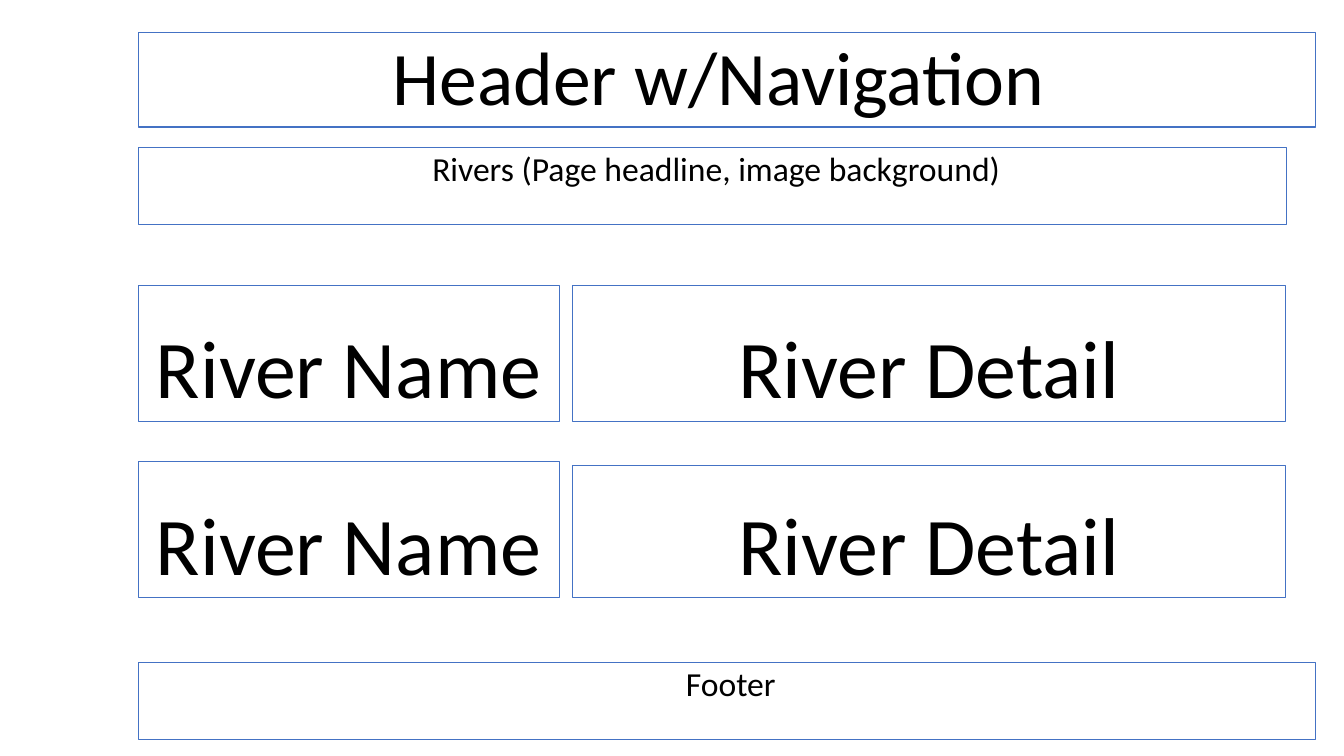
"""Wireframe slide of a rivers web page."""
from dataclasses import dataclass

from pptx import Presentation
from pptx import util as u
from pptx.dml.color import RGBColor
from pptx.enum import text

COLORS = {"outline": "4472C4", "ink": "000000"}
FONT = "Calibri"
TITLE_ONLY = 5
LEFT, DETAIL_LEFT = 1.37, 5.68
FULL_WIDTH, NAME_WIDTH, DETAIL_WIDTH = 11.68, 4.18, 7.07
BAND_HEIGHT = 0.77
BOTTOM, TOP = text.MSO_ANCHOR.BOTTOM, text.MSO_ANCHOR.TOP


@dataclass
class Block:
    """One outlined area of the web page."""
    label: str
    left: float
    top: float
    width: float
    height: float
    size: float
    anchor: text.MSO_ANCHOR = BOTTOM
    space_before: float = 0


def format_block(box, block: Block) -> None:
    """Place a box, outline it and write its label."""
    box.left, box.top = u.Inches(block.left), u.Inches(block.top)
    box.width, box.height = u.Inches(block.width), u.Inches(block.height)
    box.line.color.rgb = RGBColor.from_string(COLORS["outline"])
    box.line.width = u.Pt(0.75)

    frame = box.text_frame
    frame.word_wrap = True
    frame.auto_size = text.MSO_AUTO_SIZE.NONE
    frame.vertical_anchor = block.anchor
    para = frame.paragraphs[0]
    para.alignment = text.PP_ALIGN.CENTER
    para.line_spacing = 0.9
    para.space_before = u.Pt(block.space_before)
    span = para.add_run()
    span.text = block.label
    span.font.name = FONT
    span.font.size = u.Pt(block.size)
    span.font.color.rgb = RGBColor.from_string(COLORS["ink"])


def add_block(page, block: Block) -> None:
    """Add an outlined text box to the page."""
    box = page.shapes.add_textbox(0, 0, 0, 0)
    format_block(box, block)


def band(label: str, top: float, width: float) -> Block:
    """Describe a shallow band with small text at its top."""
    return Block(label, LEFT, top, width, BAND_HEIGHT, 24, TOP, 10)


def river_row(name_top: float, detail_top: float, bottom: float) -> list[Block]:
    """Describe a river's name and detail, which end on the same line."""
    return [
        Block("River Name ", LEFT, name_top, NAME_WIDTH, bottom - name_top, 58.5),
        Block("River Detail", DETAIL_LEFT, detail_top, DETAIL_WIDTH,
              bottom - detail_top, 58.5),
    ]


deck = Presentation()
deck.slide_width, deck.slide_height = u.Inches(13.33), u.Inches(7.5)
page = deck.slides.add_slide(deck.slide_layouts[TITLE_ONLY])

header = Block("Header w/Navigation ", LEFT, 0.32, FULL_WIDTH, 0.94, 54)
format_block(page.shapes.title, header)

blocks = [
    band(" Rivers (Page headline, image background)", 1.46, 11.39),
    *river_row(2.83, 2.83, 4.18),
    *river_row(4.58, 4.62, 5.93),
    band(" Footer", 6.57, FULL_WIDTH),
]
for block in blocks:
    add_block(page, block)

deck.save("out.pptx")
